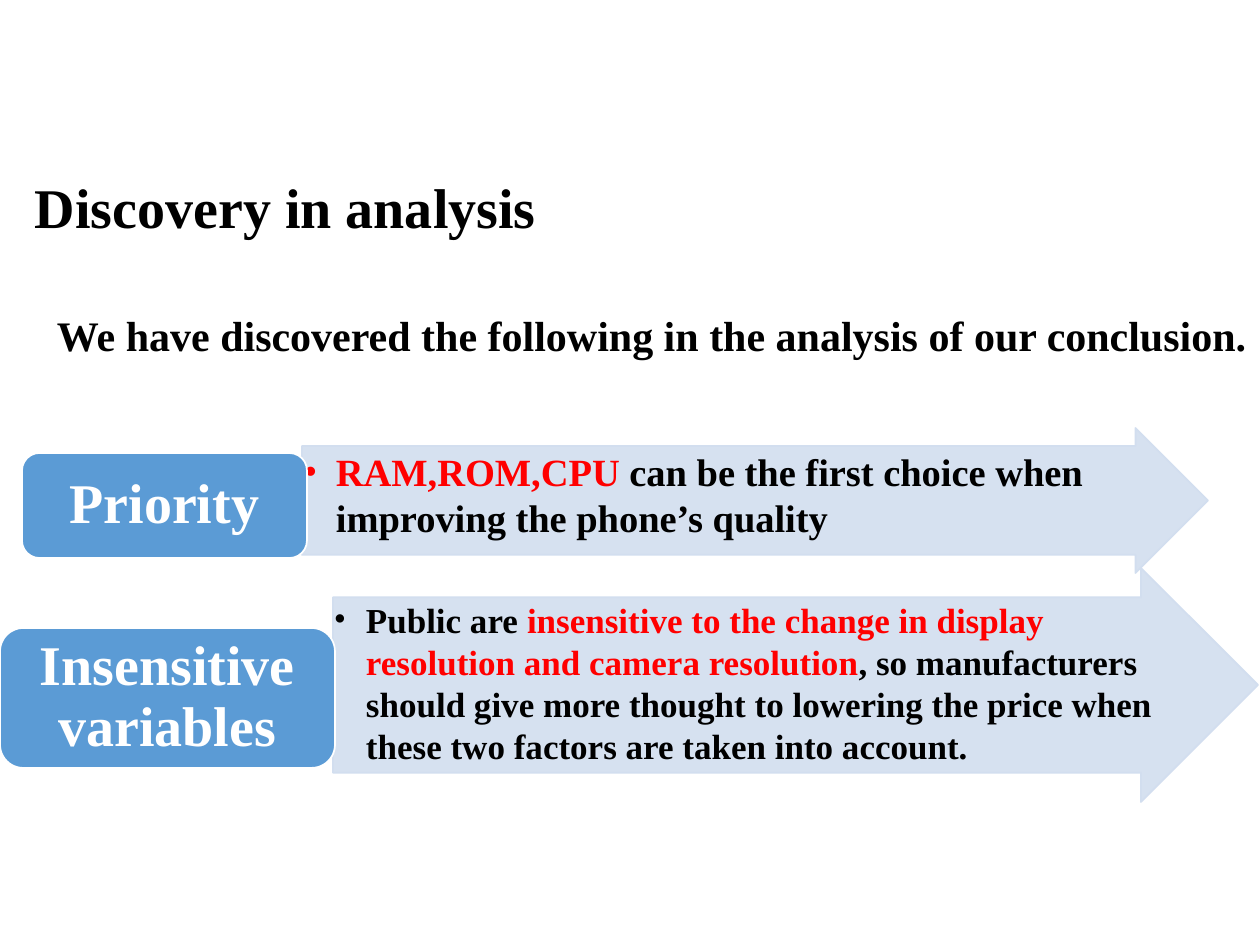
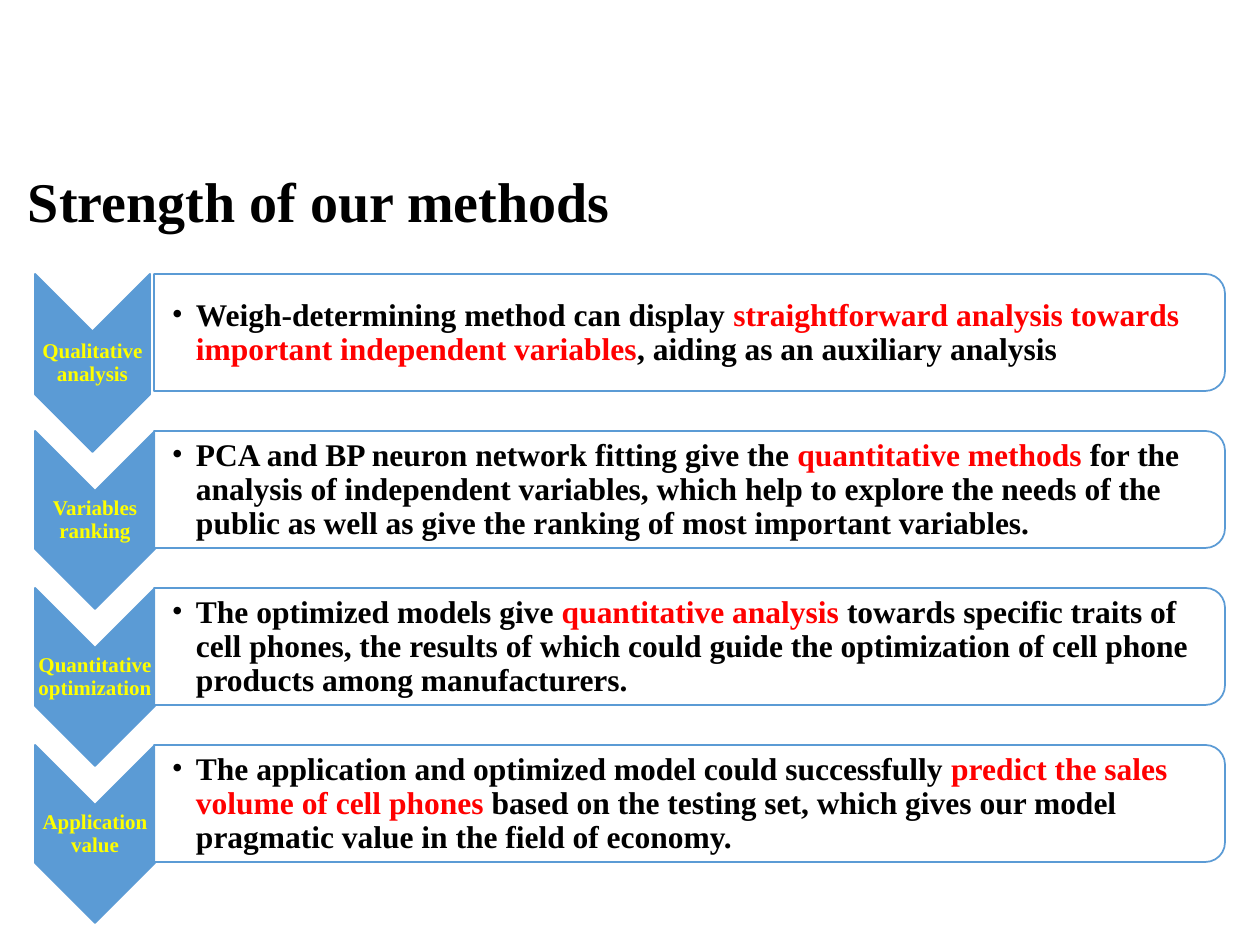
from lxml.etree import SubElement
from pptx import Presentation
from pptx.dml.color import RGBColor
from pptx.enum.shapes import MSO_SHAPE as Kind
from pptx.enum.text import MSO_ANCHOR as Anchor, MSO_AUTO_SIZE as Fit, PP_ALIGN as Align
from pptx.oxml.ns import qn
from pptx.util import Pt

SCALE = 914400 / 126
FONT = "Times New Roman"
BLACK, RED, WHITE, YELLOW = "000000", "FF0000", "FFFFFF", "FFFF00"
BLUE, PALE = "5B9BD5", "D2DEEF"
CENTER = {"align": Align.CENTER, "anchor": Anchor.MIDDLE, "lead": 0.9}


def px(n):
    return round(n * SCALE)


def color(code):
    return RGBColor.from_string(code)


def assign(item, values):
    for name, value in values.items():
        setattr(item, name, value)


def place(item, box):
    assign(item, dict(zip(("left", "top", "width", "height"), map(px, box))))


# Text: parts between bars are shown in red
def write(frame, text, size, ink=BLACK, pad=(0, 0, 0, 0), align=Align.LEFT,
          anchor=Anchor.TOP, lead=1.0, hang=0, wrap=True):
    names = ("margin_left", "margin_top", "margin_right", "margin_bottom")
    assign(frame, dict(zip(names, map(px, pad))))
    assign(frame, {"word_wrap": wrap, "auto_size": Fit.NONE, "vertical_anchor": anchor})
    para = frame.paragraphs[0]
    if hang:
        props = para._p.get_or_add_pPr()
        props.set("marL", str(px(hang)))
        props.set("indent", str(-px(hang)))
        SubElement(props, qn("a:buFont")).set("typeface", FONT)
        SubElement(props, qn("a:buChar")).set("char", "•")
    assign(para, {"alignment": align, "line_spacing": lead})
    for i, part in enumerate(text.split("|")):
        if part:
            run = para.add_run()
            run.text = part
            assign(run.font, {"name": FONT, "size": Pt(size), "bold": True})
            run.font.color.rgb = color(RED if i % 2 else ink)


def label(slide, box, text, size, **look):
    write(slide.shapes.add_textbox(*map(px, box)).text_frame, text, size, **look)


# Shapes: a turned shape fills the given box after its quarter turn
def draw(slide, kind, box, fill, line, clear=False, turn=False, adjust=()):
    x, y, w, h = box
    if turn:
        x, y, w, h = x + (w - h) / 2, y + (h - w) / 2, h, w
    shape = slide.shapes.add_shape(kind, *map(px, (x, y, w, h)))
    shape.shadow.inherit = False
    shape.rotation = 90 if turn else 0
    for i, value in enumerate(adjust):
        shape.adjustments[i] = value
    shape.fill.solid()
    shape.fill.fore_color.rgb = color(fill)
    shape.line.color.rgb = color(line)
    shape.line.width = Pt(1)
    if clear:
        tint = shape._element.spPr.find(qn("a:solidFill")).find(qn("a:srgbClr"))
        SubElement(tint, qn("a:alpha")).set("val", "90000")


def start(deck, title, left, top):
    slide = deck.slides.add_slide(deck.slide_layouts[5])
    place(slide.shapes.title, (left, top, 1134, 158))
    write(slide.shapes.title.text_frame, title, 32, pad=(13, 6, 13, 6),
          anchor=Anchor.MIDDLE, lead=0.9)
    return slide


# Arrow with its finding; the text stays inside the shaft
def arrow(slide, box, text, size, pad):
    x, y, w, h = box
    draw(slide, Kind.RIGHT_ARROW, box, PALE, PALE, clear=True, adjust=(0.75, 0.5))
    shaft = (x, y + h / 8, w - h * 3 / 8, h * 3 / 4)
    label(slide, shaft, text, size, pad=(pad,) * 4, hang=32)


# Rounded heading
def badge(slide, box, text):
    x, y, w, h = box
    edge = h / 21
    draw(slide, Kind.ROUNDED_RECTANGLE, box, BLUE, WHITE)
    label(slide, (x + edge, y + edge, w - 2 * edge, h - 2 * edge), text, 32,
          ink=WHITE, pad=(16, 9, 16, 9), **CENTER)


# Chevron with its step name, then the card beside it
def step(slide, x, y, width, name, text):
    draw(slide, Kind.CHEVRON, (x, y, width, 178), BLUE, BLUE, turn=True)
    label(slide, (x, y + 60, width, 58), name, 12, ink=YELLOW, pad=(1,) * 4, **CENTER)
    draw(slide, Kind.ROUND_2_SAME_RECTANGLE, (x + 119, y, 1071, 117), WHITE, BLUE,
         clear=True, turn=True)
    label(slide, (x + 119, y + 6, 1066, 106), text, 18, pad=(18, 1, 1, 1),
          anchor=Anchor.MIDDLE, lead=0.9, hang=24)


def findings(deck):
    slide = start(deck, "Discovery in analysis", 22, 131)
    arrow(slide, (302, 428, 906, 145),
          "|RAM,ROM,CPU |can be the first choice when improving the phone’s quality", 22, 2)
    badge(slide, (22, 453, 285, 105), "Priority")
    arrow(slide, (333, 568, 925, 234),
          "Public are |insensitive to the change in display resolution and camera "
          "resolution|, so manufacturers should give more thought to lowering the "
          "price when these two factors are taken into account.", 20, 1)
    badge(slide, (0, 628, 335, 140), "Insensitive variables")
    label(slide, (44, 304, 1216, 63),
          "We have discovered the following in the analysis of our conclusion.", 24,
          pad=(13, 6, 13, 6), wrap=False)


def methods(deck):
    slide = start(deck, "Strength of our methods", 15, 125)
    steps = (
        ("Qualitative analysis",
         "Weigh-determining method can display |straightforward analysis towards "
         "important independent variables|, aiding as an auxiliary analysis"),
        ("Variables ranking",
         "PCA and BP neuron network fitting give the |quantitative methods |for the "
         "analysis of independent variables, which help to explore the needs of the "
         "public as well as give the ranking of most important variables."),
        ("Quantitative optimization",
         "The optimized models give |quantitative analysis |towards specific traits of "
         "cell phones, the results of which could guide the optimization of cell phone "
         "products among manufacturers."),
        ("Application value",
         "The application and optimized model could successfully |predict the sales "
         "volume of cell phones| based on the testing set, which gives our model "
         "pragmatic value in the field of economy."),
    )
    for row, (name, text) in enumerate(steps):
        step(slide, 35, 274 + 157 * row, 120 if row else 115, name, text)


def main():
    deck = Presentation()
    assign(deck, {"slide_width": px(1260), "slide_height": px(945)})
    findings(deck)
    methods(deck)
    deck.save("out.pptx")


if __name__ == "__main__":
    main()
